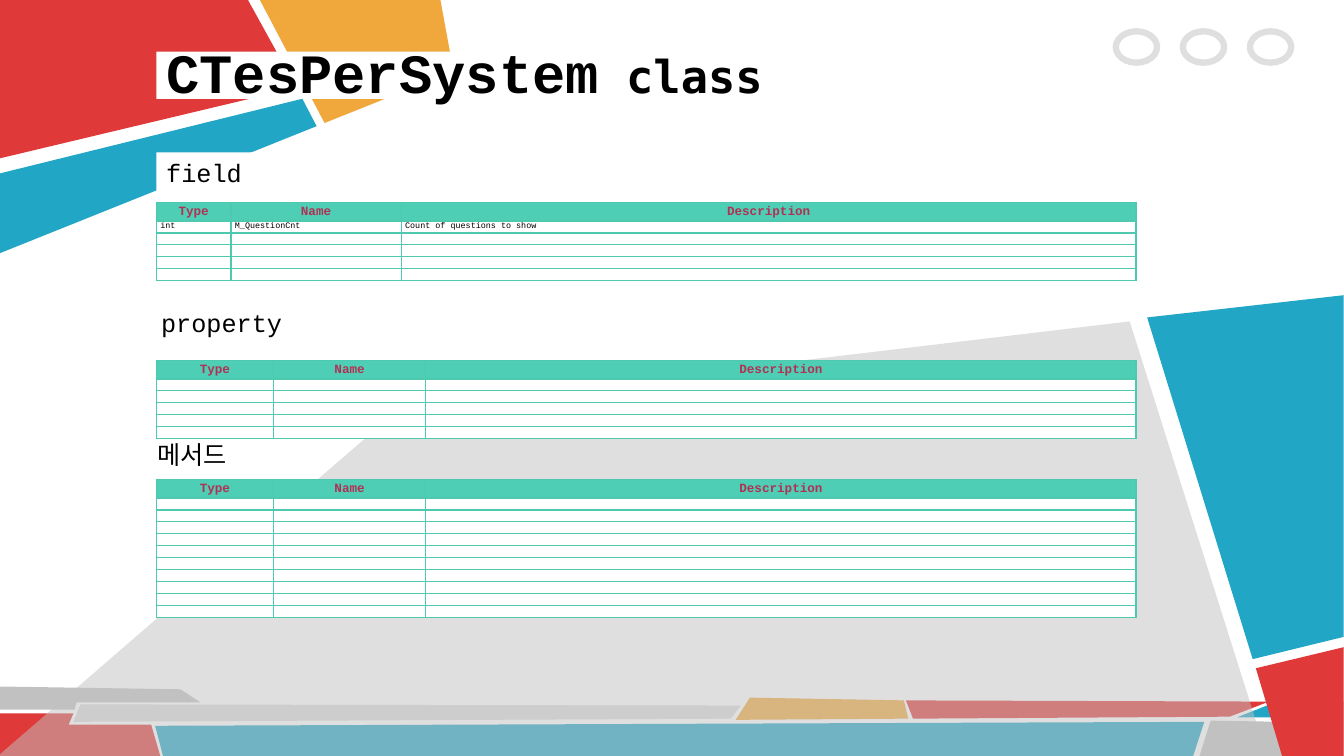
from dataclasses import dataclass
from lxml import etree
from pptx import Presentation
from pptx.dml.color import RGBColor
from pptx.enum import shapes, text
from pptx.oxml import ns
from pptx.util import Cm, Pt


@dataclass(frozen=True)
class Theme:
    white: str = "FFFFFF"
    ink: str = "000000"
    red: str = "DF3939"
    blue: str = "21A6C5"
    orange: str = "F0A73C"
    grey: str = "C1C1C1"
    pale: str = "DADADA"
    header: str = "4ECEB4"
    border: str = "4EC9B0"
    header_text: str = "B13155"
    font: str = "Courier New"
    keyword_font: str = "DejaVu Sans Mono"
    title_size: float = 39.6
    keyword_size: float = 32.4
    label_size: float = 18
    header_size: float = 9
    cell_size: float = 6


T = Theme()

SHARDS = [
    (T.grey, 100, [(0, 17.3), (4.55, 17.37), (5.05, 17.7), (1.93, 17.7), (1.88, 17.88), (0, 17.88)]),
    (T.red, 100, [(0, 17.98), (1.85, 17.98), (1.73, 18.26), (3.81, 18.26), (4.04, 19.05), (0, 19.05)]),
    (T.pale, 100, [(2.03, 17.75), (18.67, 17.78), (18.42, 18.11), (1.85, 18.19)]),
    (T.blue, 100, [(3.91, 18.29), (30.35, 18.19), (30.07, 19.05), (4.11, 19.05)]),
    (T.orange, 100, [(18.9, 17.58), (22.78, 17.65), (22.89, 18.11), (18.54, 18.14)]),
    (T.red, 100, [(22.83, 17.65), (31.98, 17.68), (30.99, 18.06), (23.01, 18.11)]),
    (T.blue, 100, [(32.18, 17.68), (33.38, 17.68), (32.31, 18.08), (31.17, 18.08)]),
    (T.grey, 100, [(30.51, 18.16), (32.36, 18.19), (33.63, 17.68), (33.86, 17.68), (33.86, 19.05), (30.23, 19.05)]),
    (T.red, 100, [(33.86, 16.31), (33.86, 19.05), (32.31, 19.05), (31.65, 16.84)]),
    (T.blue, 100, [(28.91, 8), (33.86, 7.44), (33.86, 16.05), (31.57, 16.61)]),
    (T.grey, 50, [(-0.05, 19.05), (10.08, 10.29), (28.47, 8.1), (31.93, 19.05)]),
    (T.orange, 100, [(6.55, 0), (8.18, 3.1), (11.43, 1.8), (11.1, 0)]),
    (T.red, 100, [(0, 0), (0, 3.99), (7.47, 2.21), (6.25, 0)]),
    (T.blue, 100, [(7.62, 2.49), (7.98, 3.18), (0, 6.38), (0, 4.37)]),
]

TITLE = [("CTesPerSystem", T.font, T.title_size), (" class", T.keyword_font, T.keyword_size)]
HEADER = ("Type", "Name", "Description")
LABELS = [("field", 3.94, 3.84), ("메서드", 3.71, 10.95), ("property", 3.81, 7.62)]
WIDE_TYPE = (2.95, 3.84, 17.9)
TABLES = [
    (12.09, WIDE_TYPE, 10, []),
    (9.09, WIDE_TYPE, 5, []),
    (5.11, (1.88, 4.29, 18.52), 5, [("int", "M_QuestionCnt", "Count of questions to show")]),
]
LEFT, HEADER_H, ROW_H = 3.94, 0.46, 0.3


def paint(fill, color):
    fill.solid()
    fill.fore_color.rgb = RGBColor.from_string(color)


def set_alpha(fill, percent):
    color = fill._xPr.find(".//" + ns.qn("a:srgbClr"))
    etree.SubElement(color, ns.qn("a:alpha"), val=str(percent * 1000))


def add_run(p, words, font, size, color, bold=False):
    r = p.add_run()
    r.text = words
    r.font.name, r.font.size, r.font.bold = font, Pt(size), bold
    r.font.color.rgb = RGBColor.from_string(color)


def add_shard(s, color, opacity, points):
    corners = [(Cm(x), Cm(y)) for x, y in points]
    builder = s.shapes.build_freeform(*corners[0])
    builder.add_line_segments(corners[1:], close=True)
    sp = builder.convert_to_shape()
    sp.shadow.inherit = False
    sp.line.fill.background()
    paint(sp.fill, color)
    if opacity < 100:
        set_alpha(sp.fill, opacity)


def add_ring(s, left):
    sp = s.shapes.add_shape(shapes.MSO_SHAPE.OVAL, Cm(left), Cm(0.79), Cm(1.04), Cm(0.79))
    sp.shadow.inherit = False
    sp.fill.background()
    sp.line.width = Pt(4.5)
    paint(sp.line.fill, T.grey)
    set_alpha(sp.line.fill, 50)


def add_label(s, words, left, top):
    sp = s.shapes.add_textbox(Cm(left), Cm(top), Cm(4.14), Cm(1.02))
    paint(sp.fill, T.white)
    tf = sp.text_frame
    tf.word_wrap = True
    tf.auto_size = text.MSO_AUTO_SIZE.SHAPE_TO_FIT_TEXT
    add_run(tf.paragraphs[0], words, T.font, T.label_size, T.ink)


def add_borders(cell):
    tcPr = cell._tc.get_or_add_tcPr()
    for side in ("lnL", "lnR", "lnT", "lnB"):
        ln = etree.SubElement(tcPr, ns.qn("a:" + side), w=str(Pt(1)))
        solid = etree.SubElement(ln, ns.qn("a:solidFill"))
        etree.SubElement(solid, ns.qn("a:srgbClr"), val=T.border)


def fill_cell(cell, words, is_header):
    add_borders(cell)
    paint(cell.fill, T.header if is_header else T.white)
    cell.margin_right = cell.margin_top = cell.margin_bottom = 0
    cell.margin_left = 0 if is_header else Cm(0.1)
    p = cell.text_frame.paragraphs[0]
    if is_header:
        cell.vertical_anchor = text.MSO_ANCHOR.MIDDLE
        p.alignment = text.PP_ALIGN.CENTER
        add_run(p, words, T.font, T.header_size, T.header_text, True)
    elif words:
        add_run(p, words, T.font, T.cell_size, T.ink)
    else:
        end = etree.SubElement(p._p, ns.qn("a:endParaRPr"), sz=str(T.cell_size * 100))
        etree.SubElement(end, ns.qn("a:latin"), typeface=T.font)


def add_member_table(s, top, widths, body_rows, members):
    blank = [("",) * len(HEADER)] * (body_rows - len(members))
    rows = [HEADER, *members, *blank]
    heights = [HEADER_H] + [ROW_H] * body_rows
    table = s.shapes.add_table(len(rows), len(widths), Cm(LEFT), Cm(top),
                               Cm(sum(widths)), Cm(sum(heights))).table
    table.first_row = table.horz_banding = False
    for column, width in zip(table.columns, widths):
        column.width = Cm(width)
    for i, (row, height) in enumerate(zip(table.rows, heights)):
        row.height = Cm(height)
        for cell, words in zip(row.cells, rows[i]):
            fill_cell(cell, words, i == 0)


def place_title(s):
    sp = s.shapes.title
    sp.left, sp.top, sp.width, sp.height = Cm(LEFT), Cm(1.3), Cm(15.6), Cm(1.19)
    paint(sp.fill, T.white)
    tf = sp.text_frame
    tf.word_wrap = True
    tf.auto_size = text.MSO_AUTO_SIZE.NONE
    tf.vertical_anchor = text.MSO_ANCHOR.MIDDLE
    p = tf.paragraphs[0]
    p.alignment = text.PP_ALIGN.LEFT
    p.line_spacing = 0.9
    for words, font, size in TITLE:
        add_run(p, words, font, size, T.ink, True)
    s.shapes._spTree.append(sp._element)


def main():
    prs = Presentation()
    prs.slide_width, prs.slide_height = Cm(33.87), Cm(19.05)
    s = prs.slides.add_slide(prs.slide_layouts[5])
    paint(s.background.fill, T.white)
    for shard in SHARDS:
        add_shard(s, *shard)
    for i in range(3):
        add_ring(s, 28.12 + 1.69 * i)
    for label in LABELS:
        add_label(s, *label)
    for table in TABLES:
        add_member_table(s, *table)
    place_title(s)
    prs.save("out.pptx")


if __name__ == "__main__":
    main()
